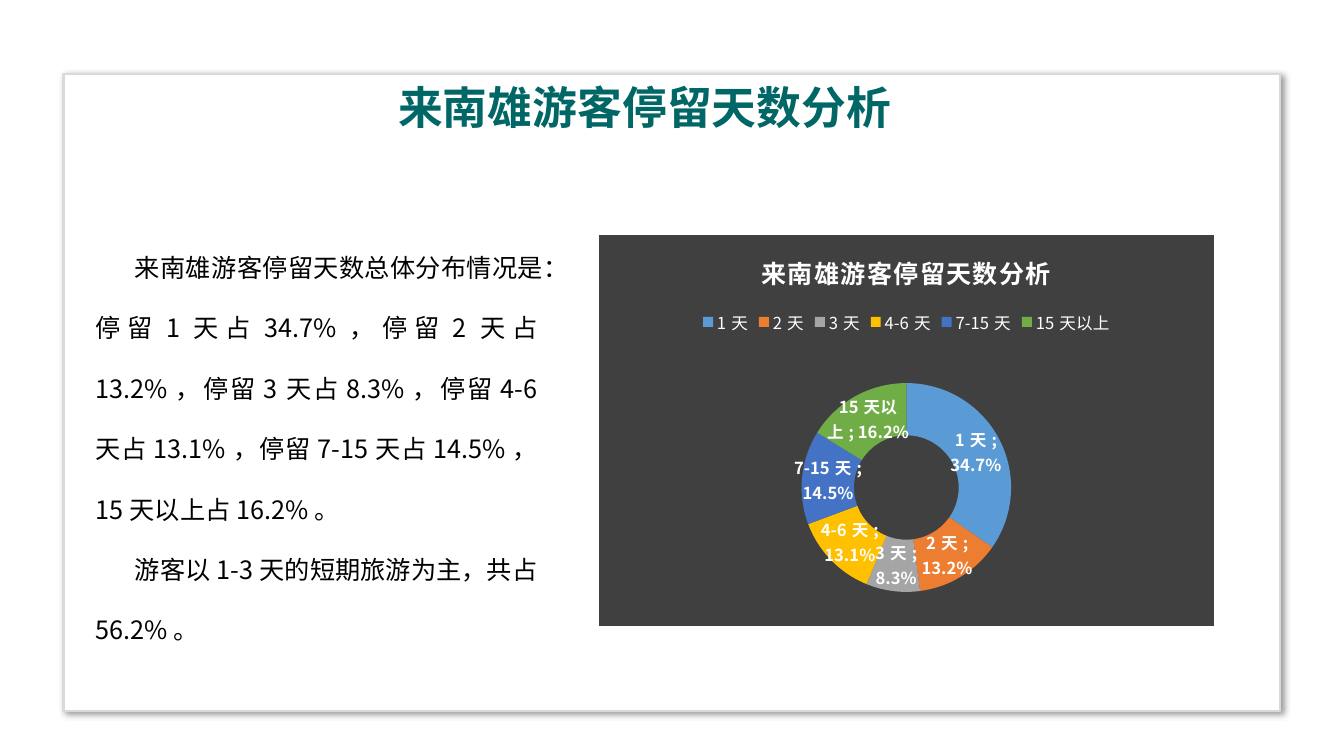
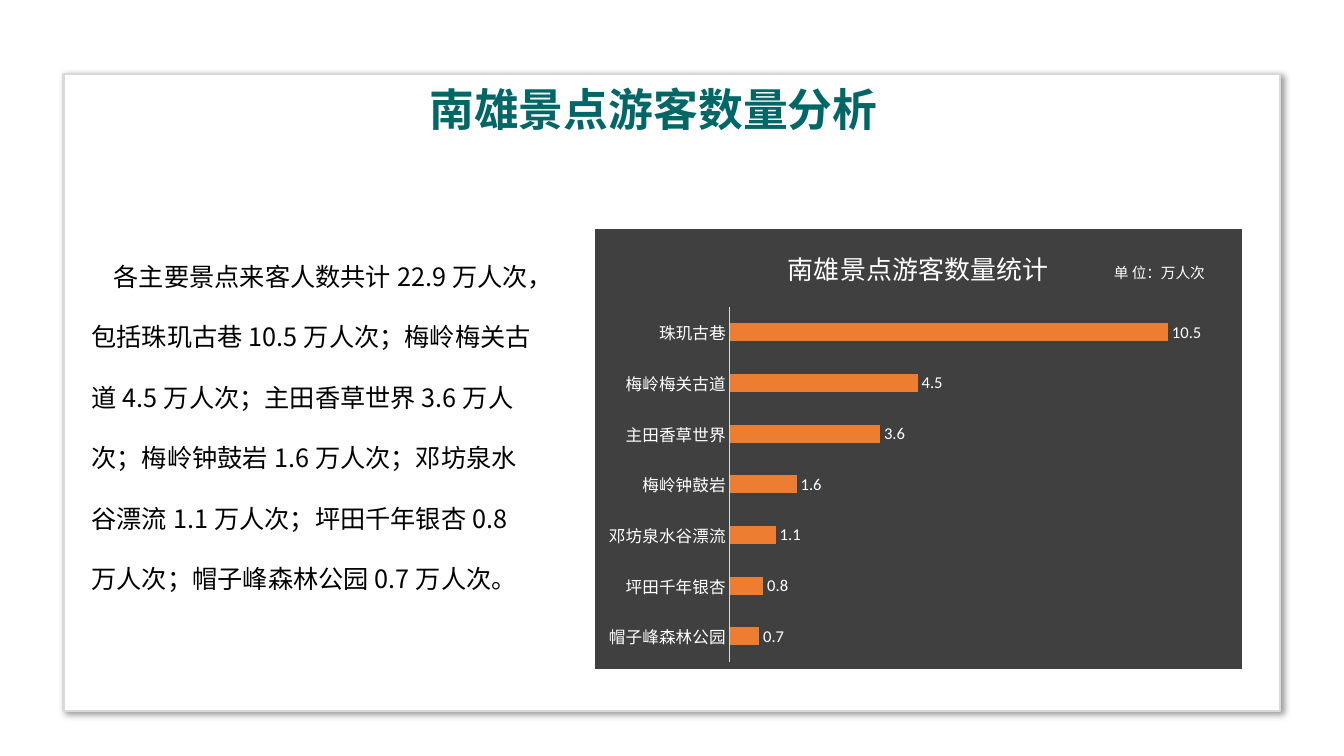
import pptx
import pptx.chart.data
import pptx.dml.color
import pptx.enum.chart
import pptx.enum.shapes
import pptx.enum.text
import pptx.oxml
import pptx.oxml.ns
import pptx.util

Inches = pptx.util.Inches
Pt = pptx.util.Pt
RGBColor = pptx.dml.color.RGBColor
ChartType = pptx.enum.chart.XL_CHART_TYPE
Align = pptx.enum.text.PP_ALIGN
qn = pptx.oxml.ns.qn

WHITE = RGBColor(0xFF, 0xFF, 0xFF)
BLACK = RGBColor(0, 0, 0)
TEAL = RGBColor(0x00, 0x66, 0x66)
CHARCOAL = RGBColor(0x40, 0x40, 0x40)
LIGHT_GRAY = RGBColor(0xD9, 0xD9, 0xD9)
BLUE = RGBColor(0x5B, 0x9B, 0xD5)
ORANGE = RGBColor(0xED, 0x7D, 0x31)
GRAY = RGBColor(0xA5, 0xA5, 0xA5)
GOLD = RGBColor(0xFF, 0xC0, 0x00)
INDIGO = RGBColor(0x44, 0x72, 0xC4)
GREEN = RGBColor(0x70, 0xAD, 0x47)

CJK_FONT = "Noto Sans CJK SC"
LATIN_FONT = "Calibri"
LABEL_SIZE = 11.9

STAY_TITLE = "来南雄游客停留天数分析"
STAY_TEXT = [
    "来南雄游客停留天数总体分布情况是：停留1天占34.7%，停留2天占13.2%，停留3天占8.3%，"
    "停留4-6天占13.1%，停留7-15天占14.5%，15天以上占16.2%。",
    "游客以1-3天的短期旅游为主，共占56.2%。",
]
STAYS = [
    ("1天", 0.347, BLUE),
    ("2天", 0.132, ORANGE),
    ("3天", 0.083, GRAY),
    ("4-6天", 0.131, GOLD),
    ("7-15天", 0.145, INDIGO),
    ("15天以上", 0.162, GREEN),
]
SPOT_TEXT = [
    "各主要景点来客人数共计22.9万人次，包括珠玑古巷10.5万人次；梅岭梅关古道4.5万人次；"
    "主田香草世界3.6万人次；梅岭钟鼓岩1.6万人次；邓坊泉水谷漂流1.1万人次；"
    "坪田千年银杏0.8万人次；帽子峰森林公园0.7万人次。",
]
SPOTS = [
    ("帽子峰森林公园", 0.7),
    ("坪田千年银杏", 0.8),
    ("邓坊泉水谷漂流", 1.1),
    ("梅岭钟鼓岩", 1.6),
    ("主田香草世界", 3.6),
    ("梅岭梅关古道", 4.5),
    ("珠玑古巷", 10.5),
]


def xml(tag, prefix, attributes="", content=""):
    return pptx.oxml.parse_xml(
        f"<{prefix}:{tag} {pptx.oxml.ns.nsdecls('a', 'c')} {attributes}>{content}</{prefix}:{tag}>"
    )


def style_font(font, size, color=WHITE, bold=False, name=CJK_FONT):
    font.size = Pt(size)
    font.bold = bold
    font.color.rgb = color
    font.name = name
    properties = font._rPr
    properties.find(qn("a:latin")).addnext(xml("ea", "a", f'typeface="{name}"'))


def add_text(slide, box, texts, size, color, bold=False, align=None,
             indent=0, line_spacing=None, wrap=False):
    shape = slide.shapes.add_textbox(*map(Inches, box))
    frame = shape.text_frame
    frame.word_wrap = wrap
    frame.auto_size = pptx.enum.text.MSO_AUTO_SIZE.SHAPE_TO_FIT_TEXT
    for index, text in enumerate(texts):
        paragraph = frame.paragraphs[0] if index == 0 else frame.add_paragraph()
        paragraph.alignment = align
        paragraph.line_spacing = line_spacing
        if indent:
            paragraph._p.get_or_add_pPr().set("indent", str(Inches(indent)))
        run = paragraph.add_run()
        run.text = text
        style_font(run.font, size, color, bold)


def add_frame(slide, box):
    frame = slide.shapes.add_shape(
        pptx.enum.shapes.MSO_SHAPE.RECTANGLE, *map(Inches, box))
    frame.shadow.inherit = False
    frame.fill.solid()
    frame.fill.fore_color.rgb = WHITE
    frame.line.color.rgb = LIGHT_GRAY
    frame.line.width = Pt(1.5)
    frame._element.spPr.find(qn("a:effectLst")).append(xml(
        "outerShdw", "a",
        f'blurRad="{Pt(4)}" dist="{Pt(3)}" dir="2700000" algn="tl" rotWithShape="0"',
        '<a:srgbClr val="000000"><a:alpha val="40000"/></a:srgbClr>'))


def start_slide(presentation, title, title_box):
    slide = presentation.slides.add_slide(presentation.slide_layouts[6])
    add_frame(slide, (0.63, 0.73, 12.07, 6.32))
    add_text(slide, title_box, [title], size=32, color=TEAL, bold=True)
    return slide


def add_dark_chart(slide, box, chart_type, rows, title, plot_box,
                   title_size, title_bold=False, title_spacing=0):
    data = pptx.chart.data.CategoryChartData()
    data.categories = [row[0] for row in rows]
    data.add_series("Series 1", [row[1] for row in rows])
    chart = slide.shapes.add_chart(chart_type, *map(Inches, box), data).chart
    style_chart_area(chart, plot_box)
    chart.font.size = Pt(10)
    chart.font.name = LATIN_FONT
    chart.font.color.rgb = WHITE
    chart.has_title = True
    run = chart.chart_title.text_frame.paragraphs[0].add_run()
    run.text = title
    style_font(run.font, title_size, bold=title_bold)
    run.font._rPr.set("spc", str(title_spacing))
    chart.chart_title.include_in_layout = False
    chart.has_legend = False
    return chart


def style_chart_area(chart, plot_box):
    space = chart._chartSpace
    space.find(qn("c:chart")).addnext(xml(
        "spPr", "c", "",
        f'<a:solidFill><a:srgbClr val="{CHARCOAL}"/></a:solidFill>'
        f'<a:ln w="{Pt(2.25)}"><a:solidFill><a:srgbClr val="{WHITE}"/></a:solidFill></a:ln>'))
    plot_area = space.chart.plotArea
    for layout in plot_area.findall(qn("c:layout")):
        plot_area.remove(layout)
    modes = '<c:layoutTarget val="inner"/><c:xMode val="edge"/><c:yMode val="edge"/>'
    sizes = "".join(f'<c:{key} val="{value}"/>' for key, value in zip("xywh", plot_box))
    plot_area.insert(0, xml(
        "layout", "c", "", f"<c:manualLayout>{modes}{sizes}</c:manualLayout>"))


def add_labels(plot, number_format, name, bold=False):
    plot.has_data_labels = True
    labels = plot.data_labels
    labels.show_value = True
    labels.show_percentage = False
    labels.number_format = number_format
    labels.number_format_is_linked = False
    style_font(labels.font, LABEL_SIZE, bold=bold, name=name)
    return labels


def add_stay_chart(slide, box):
    chart = add_dark_chart(slide, box, ChartType.DOUGHNUT, STAYS, STAY_TITLE,
                           plot_box=(0.33, 0.38, 0.34, 0.53),
                           title_size=18, title_bold=True, title_spacing=100)
    chart.has_legend = True
    chart.legend.position = pptx.enum.chart.XL_LEGEND_POSITION.TOP
    chart.legend.include_in_layout = False
    style_font(chart.legend.font, LABEL_SIZE)
    plot = chart.plots[0]
    for index, (_, _, color) in enumerate(STAYS):
        fill = plot.series[0].points[index].format.fill
        fill.solid()
        fill.fore_color.rgb = color
    labels = add_labels(plot, "0.0%", CJK_FONT, bold=True)
    labels.show_category_name = True
    bubble_flag = labels._element.find(qn("c:showBubbleSize"))
    if bubble_flag is not None:
        bubble_flag.addnext(xml("separator", "c", "", "; "))


def add_spot_chart(slide, box):
    chart = add_dark_chart(slide, box, ChartType.BAR_CLUSTERED, SPOTS, "南雄景点游客数量统计",
                           plot_box=(0.21, 0.18, 0.77, 0.8), title_size=18.6)
    plot = chart.plots[0]
    plot.gap_width = 182
    plot.vary_by_categories = False
    fill = plot.series[0].format.fill
    fill.solid()
    fill.fore_color.rgb = ORANGE
    labels = add_labels(plot, "0.0", LATIN_FONT)
    labels.position = pptx.enum.chart.XL_LABEL_POSITION.OUTSIDE_END
    category_axis = chart.category_axis
    category_axis.major_tick_mark = pptx.enum.chart.XL_TICK_MARK.NONE
    category_axis.format.line.color.rgb = LIGHT_GRAY
    category_axis.format.line.width = Pt(0.75)
    style_font(category_axis.tick_labels.font, LABEL_SIZE)
    value_axis = chart.value_axis
    value_axis.minimum_scale = 0
    value_axis.maximum_scale = 12
    value_axis.has_major_gridlines = False
    value_axis.visible = False
    left, top, _, _ = box
    add_text(slide, (left + 5.08, top + 0.33, 1.16, 0.28), ["单 位：万人次"],
             size=10.5, color=WHITE)


def build_stay_slide(presentation):
    slide = start_slide(presentation, STAY_TITLE, (3.85, 0.74, 5.13, 0.64))
    add_text(slide, (0.85, 2.15, 4.64, 3.74), STAY_TEXT, size=18, color=BLACK,
             align=Align.JUSTIFY, indent=0.39, line_spacing=2, wrap=True)
    add_stay_chart(slide, (5.91, 2.3, 6.16, 3.94))


def build_spot_slide(presentation):
    slide = start_slide(presentation, "南雄景点游客数量分析", (4.16, 0.76, 4.67, 0.64))
    add_text(slide, (0.81, 2.24, 4.62, 3.74), SPOT_TEXT, size=18, color=BLACK,
             indent=0.22, line_spacing=2, wrap=True)
    add_spot_chart(slide, (5.87, 2.24, 6.48, 4.43))


def main():
    presentation = pptx.Presentation()
    presentation.slide_width = Inches(13.33)
    presentation.slide_height = Inches(7.5)
    build_stay_slide(presentation)
    build_spot_slide(presentation)
    presentation.save("out.pptx")


if __name__ == "__main__":
    main()
